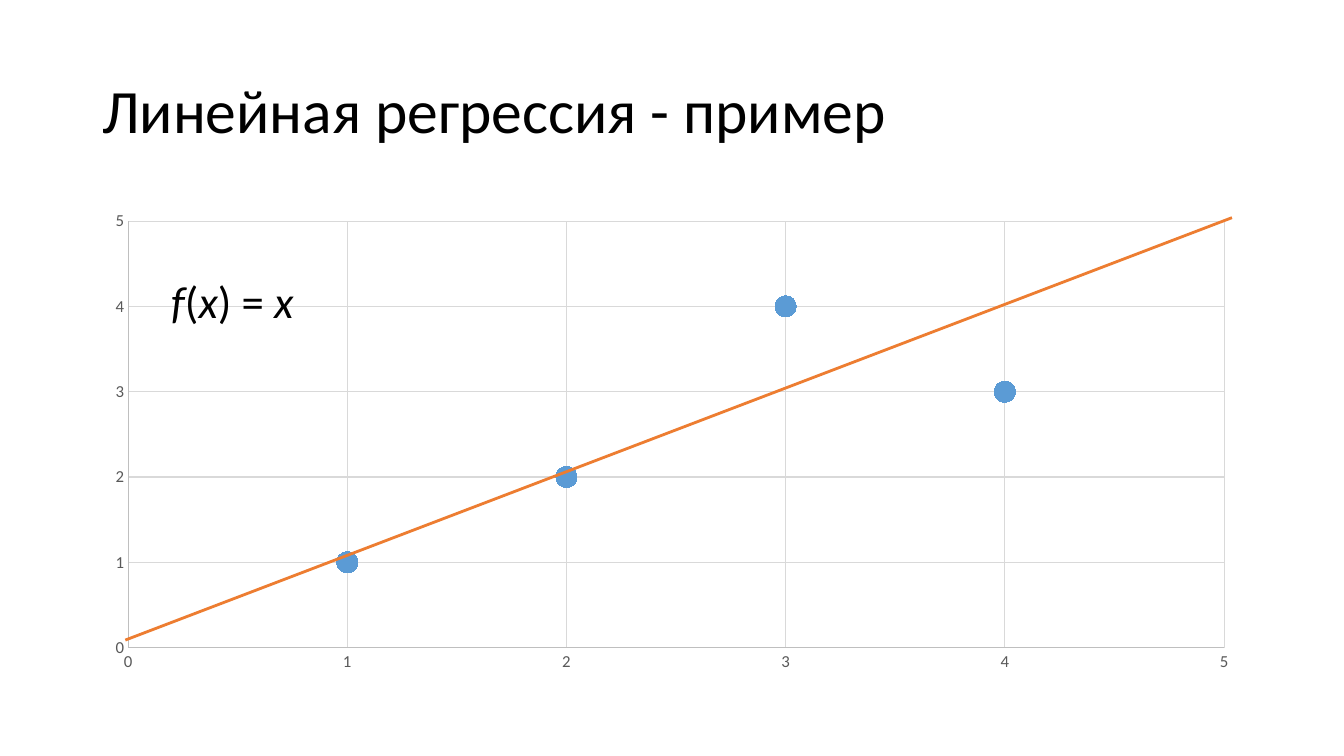
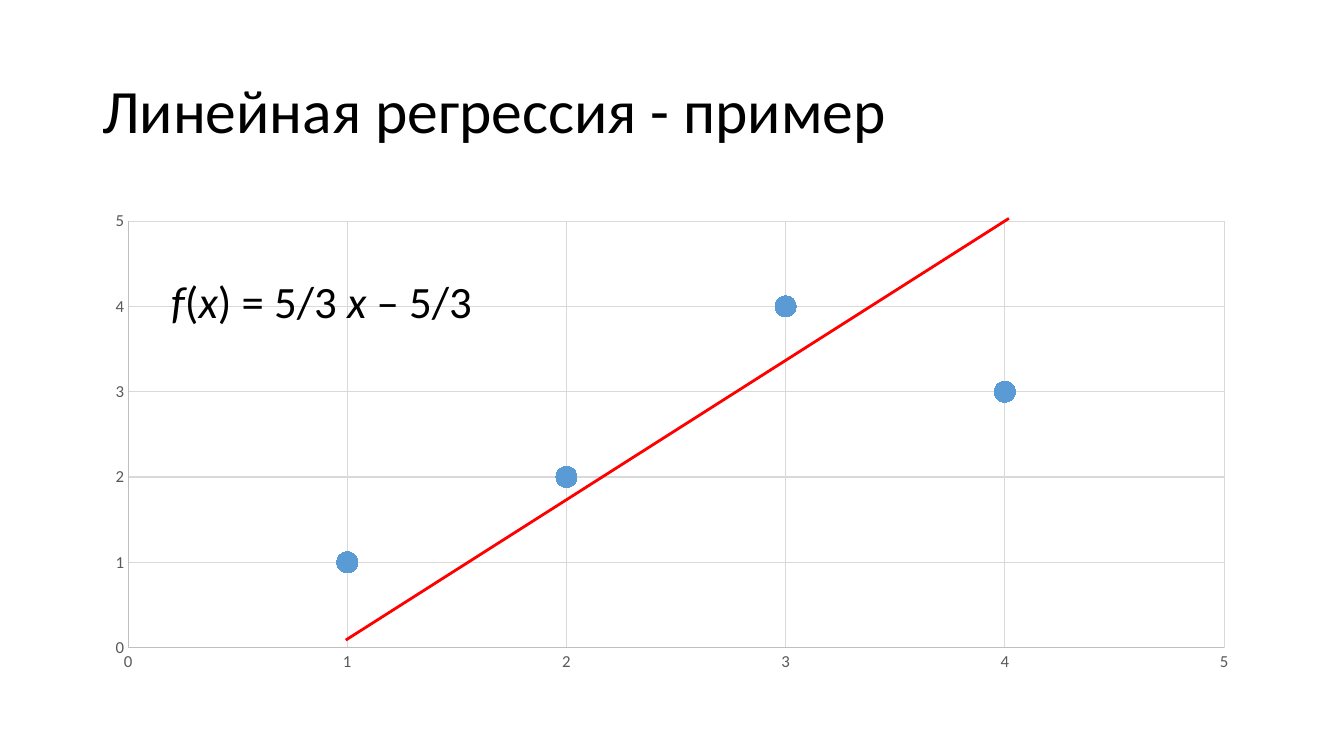
from lxml import etree
from pptx import Presentation
from pptx.chart.data import XyChartData
from pptx.dml.color import RGBColor
from pptx.enum.chart import XL_CHART_TYPE, XL_MARKER_STYLE, XL_TICK_MARK
from pptx.enum.shapes import MSO_CONNECTOR
from pptx.enum.text import MSO_ANCHOR
from pptx.oxml.ns import qn
from pptx.util import Pt

SCATTER = XL_CHART_TYPE.XY_SCATTER
CIRCLE = XL_MARKER_STYLE.CIRCLE
NO_TICK = XL_TICK_MARK.NONE
STRAIGHT = MSO_CONNECTOR.STRAIGHT
MIDDLE, TOP = MSO_ANCHOR.MIDDLE, MSO_ANCHOR.TOP

# Shared style
FONT = "Calibri"
BLACK, GRAY = "000000", "595959"
AXIS, GRID = "BFBFBF", "D9D9D9"
BLUE, ORANGE, RED = "5B9BD5", "ED7D31", "FF0000"

# Shared content
TITLE = "Линейная регрессия - пример"
POINTS = [(1, 1), (2, 2), (3, 4), (4, 3)]

# Formula runs as (text, italic), and the fitted line from start to end
EXAMPLES = [
    ([("f", True), ("(", False), ("x", True), (") = ", False), ("x", True)],
     ORANGE, (89.5, 457.2), (880, 155.5)),
    ([("f", True), ("(", False), ("x", True), (") = 5/3 ", False),
      ("x", True), (" – 5/3", False)],
     RED, (247, 457.2), (720.7, 156)),
]


def color(value):
    return RGBColor.from_string(value)


class Deck:
    """Holds the style and the current slide."""

    def __init__(self):
        self.presentation = Presentation()
        self.presentation.slide_width = Pt(960)
        self.presentation.slide_height = Pt(540)
        self.slide = None

    def add_slide(self):
        layout = self.presentation.slide_layouts[6]
        self.slide = self.presentation.slides.add_slide(layout)

    def style_font(self, font, size, fill):
        font.name = FONT
        font.size = Pt(size)
        font.color.rgb = color(fill)

    def style_line(self, line, fill, width):
        line.color.rgb = color(fill)
        line.width = Pt(width)

    def text(self, runs, left, top, width, height, size, anchor=TOP, spacing=1.0):
        shape = self.slide.shapes.add_textbox(Pt(left), Pt(top), Pt(width), Pt(height))
        frame = shape.text_frame
        frame.word_wrap = True
        frame.vertical_anchor = anchor
        paragraph = frame.paragraphs[0]
        paragraph.line_spacing = spacing
        for content, italic in runs:
            run = paragraph.add_run()
            run.text = content
            self.style_font(run.font, size, BLACK)
            run.font.italic = italic

    def title(self, content):
        self.text([(content, False)], 66, 28.75, 828, 104.4, 44, MIDDLE, 0.9)

    def scatter(self, points):
        data = XyChartData()
        series_data = data.add_series("Series 1")
        for x, y in points:
            series_data.add_data_point(x, y)
        frame = self.slide.shapes.add_chart(
            SCATTER, Pt(66), Pt(144), Pt(828), Pt(342.6), data)
        chart = frame.chart
        chart.has_title = False
        chart.has_legend = False
        self.style_font(chart.font, 10, BLACK)
        chart.plots[0].vary_by_categories = False
        for axis in (chart.category_axis, chart.value_axis):
            self.axis(axis)

        # Markers only, without a joining line
        series = chart.plots[0].series[0]
        series.format.line.fill.background()
        marker = series.marker
        marker.style = CIRCLE
        marker.size = 15
        marker.format.fill.solid()
        marker.format.fill.fore_color.rgb = color(BLUE)
        self.style_line(marker.format.line, BLUE, 0.75)

    def axis(self, axis):
        axis.minimum_scale = 0
        axis.maximum_scale = 5
        axis.major_unit = 1
        axis.major_tick_mark = NO_TICK
        axis.minor_tick_mark = NO_TICK
        axis.has_major_gridlines = True
        self.style_line(axis.major_gridlines.format.line, GRID, 0.75)
        self.style_line(axis.format.line, AXIS, 0.75)
        self.style_font(axis.tick_labels.font, 12, GRAY)

    def line(self, start, end, fill):
        ends = [Pt(value) for value in (*start, *end)]
        connector = self.slide.shapes.add_connector(STRAIGHT, *ends)
        self.style_line(connector.line, fill, 2)
        etree.SubElement(connector._element.spPr, qn("a:effectLst"))


def main():
    deck = Deck()
    for formula, fill, start, end in EXAMPLES:
        deck.add_slide()
        deck.title(TITLE)
        deck.scatter(POINTS)
        deck.line(start, end, fill)
        deck.text(formula, 115.2, 192.2, 262, 46, 32)
    deck.presentation.save("out.pptx")


if __name__ == "__main__":
    main()
